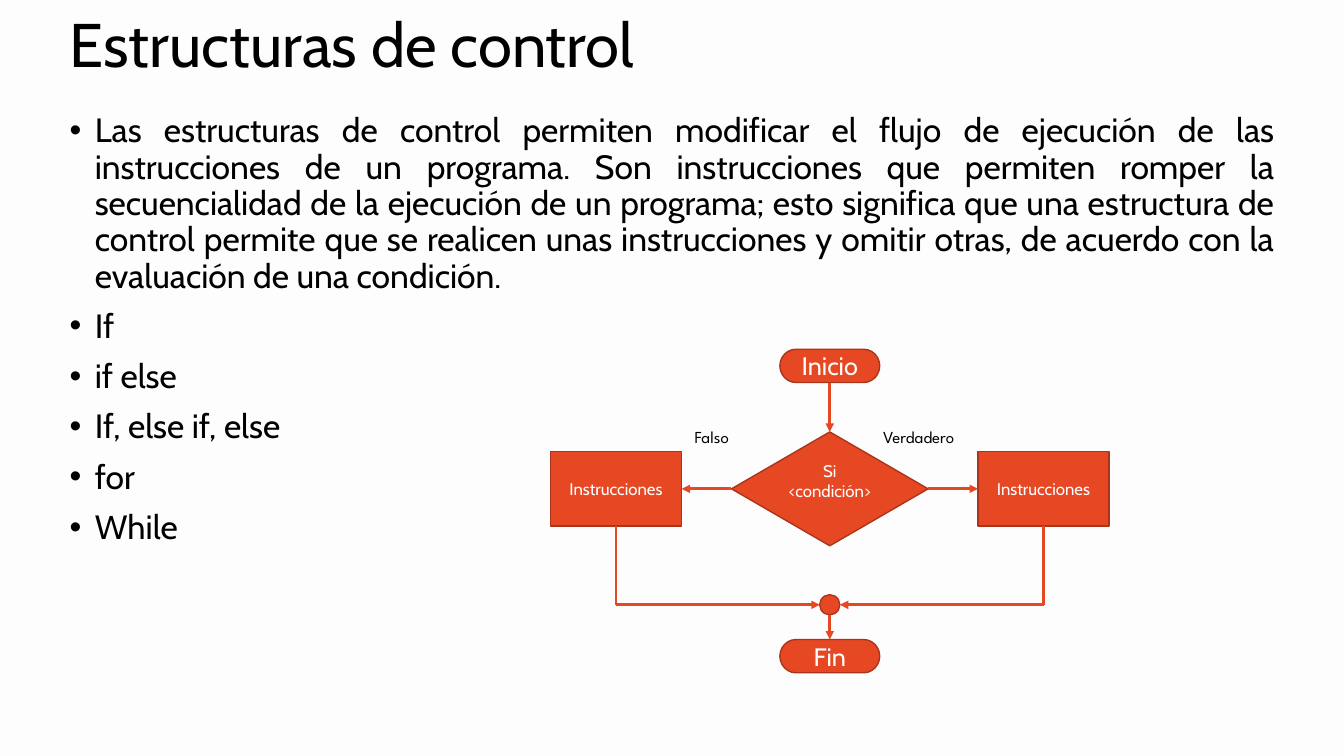
from pptx import Presentation
from pptx.dml.color import RGBColor
from pptx.enum.shapes import MSO_CONNECTOR, MSO_SHAPE
from pptx.enum.text import MSO_ANCHOR, MSO_AUTO_SIZE, PP_ALIGN
from pptx.oxml.ns import qn
from pptx.util import Inches, Pt
from lxml import etree

TERMINATOR = MSO_SHAPE.FLOWCHART_TERMINATOR
DECISION = MSO_SHAPE.FLOWCHART_DECISION
PROCESS = MSO_SHAPE.FLOWCHART_PROCESS
JUNCTION = MSO_SHAPE.FLOWCHART_CONNECTOR
STRAIGHT = MSO_CONNECTOR.STRAIGHT
LEFT, CENTER, JUSTIFY = PP_ALIGN.LEFT, PP_ALIGN.CENTER, PP_ALIGN.JUSTIFY
TOP, MIDDLE = MSO_ANCHOR.TOP, MSO_ANCHOR.MIDDLE
NO_FIT = MSO_AUTO_SIZE.NONE
SIDE_TOP, SIDE_LEFT, SIDE_BOTTOM, SIDE_RIGHT = range(4)

TITLE = "Estructuras de control"
TOPICS = [
    "Las estructuras de control permiten modificar el flujo de ejecución de las "
    "instrucciones de un programa. Son instrucciones que permiten romper la "
    "secuencialidad de la ejecución de un programa; esto significa que una "
    "estructura de control permite que se realicen unas instrucciones y omitir "
    "otras, de acuerdo con la evaluación de una condición.",
    "If",
    "if else",
    "If, else if, else",
    "for",
    "While",
]

AXIS, BRANCH, DECISION_Y = 8.23, 2.12, 4.85
NODES = {
    "start": (TERMINATOR, AXIS, 3.63, 0.99, 0.33, ["Inicio"], "terminal"),
    "end": (TERMINATOR, AXIS, 6.51, 0.99, 0.33, ["Fin"], "terminal"),
    "condition": (DECISION, AXIS, DECISION_Y, 1.95, 1.13, ["Si", "<condición>"], "step"),
    "false": (PROCESS, AXIS - BRANCH, DECISION_Y, 1.3, 0.74, ["Instrucciones"], "step"),
    "true": (PROCESS, AXIS + BRANCH, DECISION_Y, 1.3, 0.74, ["Instrucciones"], "step"),
    "junction": (JUNCTION, AXIS, 6, 0.2, 0.2, [], "step"),
}
FLOWS = [
    ("start", SIDE_BOTTOM, "condition", SIDE_TOP),
    ("condition", SIDE_RIGHT, "true", SIDE_LEFT),
    ("condition", SIDE_LEFT, "false", SIDE_RIGHT),
    ("junction", SIDE_BOTTOM, "end", SIDE_TOP),
]
MERGES = [("false", SIDE_LEFT), ("true", SIDE_RIGHT)]
BRANCH_LABELS = [("Verdadero", 8.66, 4.18, 1.09, 0.3), ("Falso", 6.79, 4.18, 0.74, 0.3)]

THEME = {
    "background": RGBColor(0xFD, 0xFD, 0xFD),
    "fill": RGBColor(0xE6, 0x48, 0x23),
    "outline": RGBColor(0xAA, 0x35, 0x1A),
    "title": {"name": "Cabin", "size": Pt(44), "color": RGBColor(0, 0, 0)},
    "body": {"name": "Cabin", "size": Pt(24), "color": RGBColor(0, 0, 0)},
    "terminal": {"name": "Cabin", "size": Pt(18), "color": RGBColor(255, 255, 255)},
    "step": {"name": "Cabin", "size": Pt(12), "color": RGBColor(255, 255, 255)},
    "label": {"name": "League Spartan", "size": Pt(12), "color": RGBColor(0, 0, 0)},
}


def apply_format(target, values):
    """Set each attribute of the target from the format values."""
    for attribute, value in values.items():
        if attribute == "color":
            target.color.rgb = value
        else:
            setattr(target, attribute, value)


def place(placeholder, left, top, width, height):
    """Move a placeholder to a position in inches."""
    apply_format(placeholder, {"left": Inches(left), "top": Inches(top),
                               "width": Inches(width), "height": Inches(height)})


def add_bullet(paragraph):
    """Give a paragraph a round bullet with a hanging indent."""
    properties = paragraph._p.get_or_add_pPr()
    properties.set("marL", str(Inches(0.25)))
    properties.set("indent", str(-Inches(0.25)))
    etree.SubElement(properties, qn("a:buFont")).set("typeface", "Arial")
    etree.SubElement(properties, qn("a:buChar")).set("char", "•")


def write(frame, lines, style, layout, gap=0, bulleted=False, **frame_format):
    """Write lines as formatted paragraphs."""
    apply_format(frame, {"word_wrap": True, "auto_size": NO_FIT, **frame_format})
    for index, line in enumerate(lines):
        paragraph = frame.add_paragraph() if index else frame.paragraphs[0]
        if bulleted:
            add_bullet(paragraph)
        apply_format(paragraph, {**layout, "space_before": Pt(gap if index else 0)})
        run = paragraph.add_run()
        run.text = line
        apply_format(run.font, THEME[style])


def side_point(node, side):
    """Return the middle of a node's side in inches."""
    _, x, y, width, height, _, _ = NODES[node]
    return {SIDE_TOP: (x, y - height / 2), SIDE_LEFT: (x - width / 2, y),
            SIDE_BOTTOM: (x, y + height / 2), SIDE_RIGHT: (x + width / 2, y)}[side]


def add_line(slide, start, end, arrow=True):
    """Draw a flow line between two points in inches."""
    flow = slide.shapes.add_connector(STRAIGHT, *map(Inches, start + end))
    flow.line.color.rgb = THEME["fill"]
    flow.line.width = Pt(2)
    if arrow:
        outline = flow.line._get_or_add_ln()
        etree.SubElement(outline, qn("a:tailEnd")).set("type", "triangle")
    etree.SubElement(flow._element.spPr, qn("a:effectLst"))
    return flow


def add_node(slide, kind, x, y, width, height, lines, style):
    """Draw a flowchart node around its centre."""
    node = slide.shapes.add_shape(kind, Inches(x - width / 2), Inches(y - height / 2),
                                  Inches(width), Inches(height))
    node.shadow.inherit = False
    node.fill.solid()
    node.fill.fore_color.rgb = THEME["fill"]
    node.line.color.rgb = THEME["outline"]
    node.line.width = Pt(1)
    frame_format = {"vertical_anchor": MIDDLE}
    if kind == DECISION:
        margins = ("margin_left", "margin_top", "margin_right", "margin_bottom")
        frame_format = {"vertical_anchor": TOP, **dict.fromkeys(margins, 0)}
    write(node.text_frame, lines, style, {"alignment": CENTER}, **frame_format)
    return node


def add_flowchart(slide):
    """Draw the nodes, flows and branch labels."""
    nodes = {name: add_node(slide, *node) for name, node in NODES.items()}
    for source, source_side, target, target_side in FLOWS:
        flow = add_line(slide, side_point(source, source_side),
                        side_point(target, target_side))
        if source != "junction":
            flow.begin_connect(nodes[source], source_side)
        flow.end_connect(nodes[target], target_side)
    for branch, junction_side in MERGES:
        exit_point = side_point(branch, SIDE_BOTTOM)
        entry_point = side_point("junction", junction_side)
        corner = (exit_point[0], entry_point[1])
        descent = add_line(slide, exit_point, corner, arrow=False)
        descent.begin_connect(nodes[branch], SIDE_BOTTOM)
        add_line(slide, corner, entry_point)
    for caption, *box in BRANCH_LABELS:
        label = slide.shapes.add_textbox(*map(Inches, box))
        write(label.text_frame, [caption], "label", {"alignment": LEFT})


def main():
    """Build and save the slide."""
    deck = Presentation()
    deck.slide_width, deck.slide_height = Inches(13.33), Inches(7.5)
    slide = deck.slides.add_slide(deck.slide_layouts[1])
    slide.background.fill.solid()
    slide.background.fill.fore_color.rgb = THEME["background"]
    title, body = slide.placeholders
    place(title, 0.59, 0.05, 12.15, 0.84)
    write(title.text_frame, [TITLE], "title",
          {"alignment": LEFT, "line_spacing": 0.9}, vertical_anchor=MIDDLE)
    place(body, 0.59, 1.08, 12.15, 5.83)
    write(body.text_frame, TOPICS, "body",
          {"alignment": JUSTIFY, "line_spacing": 0.9},
          gap=10, bulleted=True, vertical_anchor=TOP)
    add_flowchart(slide)
    deck.save("out.pptx")


if __name__ == "__main__":
    main()
